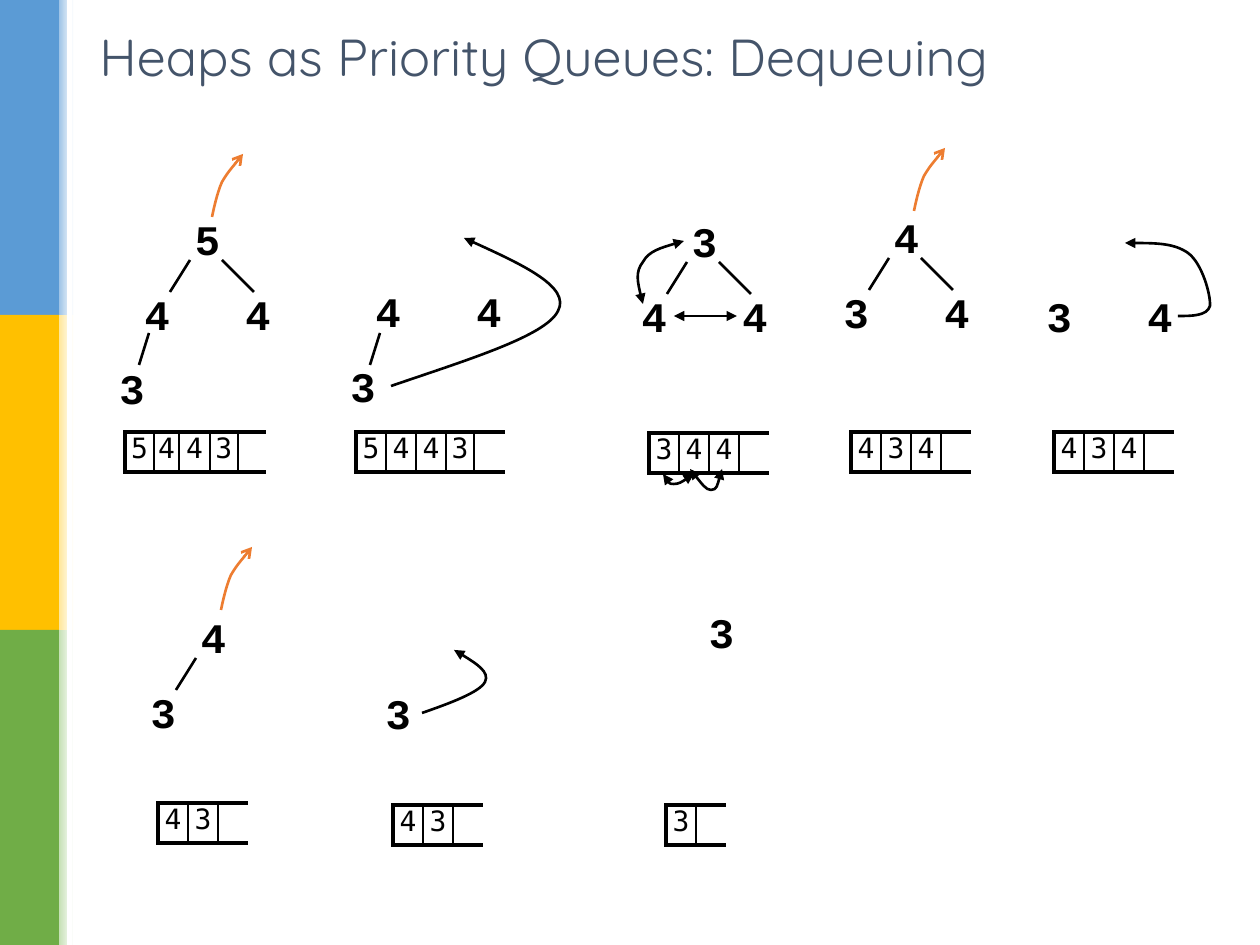
from dataclasses import dataclass

from lxml import etree
from pptx import Presentation
from pptx.dml.color import RGBColor
from pptx.enum.shapes import MSO_CONNECTOR, MSO_SHAPE
from pptx.enum.text import MSO_ANCHOR, PP_ALIGN
from pptx.oxml.ns import qn
from pptx.util import Emu, Pt

SCALE = 914400 / 126
STRAIGHT = MSO_CONNECTOR.STRAIGHT
RECT = MSO_SHAPE.RECTANGLE
MIDDLE, TOP = MSO_ANCHOR.MIDDLE, MSO_ANCHOR.TOP
CENTER, LEFT = PP_ALIGN.CENTER, PP_ALIGN.LEFT


@dataclass(frozen=True)
class Theme:
    """Colours, fonts, type sizes and line widths of the deck."""
    ink: str = "000000"
    paper: str = "FFFFFF"
    heading: str = "44546A"
    exit: str = "ED7D31"
    bands: tuple = (("5B9BD5", "9DC3E6"), ("FFC000", "FFE699"), ("70AD47", "C5E0B4"))
    title_font: str = "Quicksand"
    node_font: str = "Courier New"
    cell_font: str = "DejaVu Sans Mono"
    title_size: float = 29.7
    node_size: int = 24
    cell_size: int = 16
    line: float = 1.5
    thick: float = 2.25
    thin: float = 1


THEME = Theme()
LEVEL_PITCH = 72
CHAR = 25.2
LEVEL_COLUMNS = ((3,), (1, 5), (0,))
EDGES = (
    ((0, 0), (1, 0), (83, 53), (63, 85)),
    ((0, 0), (1, 1), (115, 53), (147, 85)),
    ((1, 0), (2, 0), (42, 126), (32, 158)),
)
EXIT_CURVE = ((31, 0), (24, 9), (16, 18), (10, 28), (5, 39), (1, 58), (0, 63))


def px(value):
    """Turn pixels into EMU."""
    return Emu(round(value * SCALE))


def color(value):
    """Turn a hex string into a colour."""
    return RGBColor.from_string(value)


def write(para, text, *, font, size, ink=THEME.ink, bold=False, align=LEFT):
    """Add one formatted run to a paragraph."""
    para.alignment = align
    span = para.add_run()
    span.text = text
    span.font.name, span.font.size, span.font.bold = font, Pt(size), bold
    span.font.color.rgb = color(ink)


def add_box(page, left, top, width, height, anchor=TOP):
    """Add a wrapping text box and return its frame."""
    box = page.shapes.add_textbox(px(left), px(top), px(width), px(height))
    box.text_frame.word_wrap = True
    box.text_frame.vertical_anchor = anchor
    return box.text_frame


def style_line(shape, ink=THEME.ink, head=None, tail=None):
    """Set colour, width and arrowheads of a line."""
    shape.line.color.rgb = color(ink)
    shape.line.width = Pt(THEME.line)
    outline = shape.element.find(".//" + qn("a:ln"))
    for tag, kind in (("a:headEnd", head), ("a:tailEnd", tail)):
        if kind:
            etree.SubElement(outline, qn(tag), type=kind)


def add_line(page, start, end, **ends):
    """Draw a straight line between two points."""
    line = page.shapes.add_connector(STRAIGHT, *(px(v) for v in (*start, *end)))
    style_line(line, **ends)
    etree.SubElement(line.element.spPr, qn("a:effectLst"))


def add_curve(page, points, **ends):
    """Draw cubic curves through a start and triples of points."""
    builder = page.shapes.build_freeform(*points[0], scale=SCALE)
    builder.add_line_segments(points[1:], close=False)
    curve = builder.convert_to_shape()
    curve.shadow.inherit = False
    curve.fill.background()
    style_line(curve, **ends)
    outline = curve.element.find(".//" + qn("a:path"))
    segments = outline.findall(qn("a:lnTo"))
    for first in range(0, len(segments), 3):
        bezier = etree.SubElement(outline, qn("a:cubicBezTo"))
        for segment in segments[first:first + 3]:
            bezier.append(segment[0])
            outline.remove(segment)


def add_block(page, left, top, width, height, fill, fade=None):
    """Draw a plain or fading rectangle without outline."""
    block = page.shapes.add_shape(RECT, px(left), px(top), px(width), px(height))
    block.shadow.inherit = False
    block.line.fill.background()
    if fade:
        block.fill.gradient()
        block.fill.gradient_angle = 0
        for stop, shade in zip(block.fill.gradient_stops, (fill, fade)):
            stop.color.rgb = color(shade)
    else:
        block.fill.solid()
        block.fill.fore_color.rgb = color(fill)


def add_sidebar(page, left, top, height):
    """Draw the coloured bands at the slide edge."""
    band = height / len(THEME.bands)
    for index, (fill, tint) in enumerate(THEME.bands):
        add_block(page, left, top + index * band, 59, band, fill)
        add_block(page, left + 59, top + index * band, 15, band, tint, THEME.paper)
    add_block(page, left + 67, top, 5, height, THEME.paper)


def add_heap(page, left, top, levels):
    """Write the nodes level by level and join parents to children."""
    first = next(i for i, level in enumerate(levels) if level)
    shown = len(levels) - first
    frame = add_box(page, left, top + first * LEVEL_PITCH, 179, 63 + (shown - 1) * 75)
    for depth in range(first, len(levels)):
        para = frame.paragraphs[0] if depth == first else frame.add_paragraph()
        if depth > first:
            para.space_before = Pt(14)
        columns = [c for c in LEVEL_COLUMNS[depth] if c]
        text = "".join("\t" * bool(columns) + node for node in levels[depth])
        write(para, text, font=THEME.node_font, size=THEME.node_size, bold=True)
        if columns:
            stops = etree.SubElement(para._p.get_or_add_pPr(), qn("a:tabLst"))
            for column in columns:
                etree.SubElement(stops, qn("a:tab"), pos=str(px(column * CHAR)), algn="l")
    for parent, child, start, end in EDGES:
        if all(d < len(levels) and i < len(levels[d]) for d, i in (parent, child)):
            add_line(page, *((left + x, top + y) for x, y in (start, end)))


def set_borders(cell, **widths):
    """Set cell borders; a width of zero hides the side."""
    for side in "LRTB":
        border = etree.SubElement(cell._tc.get_or_add_tcPr(), qn("a:ln" + side))
        width = widths[side]
        if width:
            border.set("w", str(Pt(width)))
            fill = etree.SubElement(border, qn("a:solidFill"))
            etree.SubElement(fill, qn("a:srgbClr"), val=THEME.ink)
        else:
            etree.SubElement(border, qn("a:noFill"))


def add_array(page, left, top, values, widths=None):
    """Draw the heap's array as a table with an open last cell."""
    count = len(values) + 1
    widths = widths or [30] * count
    frame = page.shapes.add_table(1, count, px(left), px(top), px(sum(widths)), px(37))
    table = frame.table
    table.first_row = table.horz_banding = False
    table.rows[0].height = px(37)
    for index, width in enumerate(widths):
        table.columns[index].width = px(width)
        cell = table.cell(0, index)
        cell.margin_left = cell.margin_right = cell.margin_top = cell.margin_bottom = px(1)
        set_borders(cell, L=THEME.thin if index else THEME.thick,
                    R=THEME.thin if index < count - 1 else 0, T=THEME.thick, B=THEME.thick)
        cell.fill.background()
        write(cell.text_frame.paragraphs[0], values[index:index + 1],
              font=THEME.cell_font, size=THEME.cell_size, align=CENTER)


def add_step(page, left, top, levels, values, array, widths=None, exit_at=None, moves=(), swaps=()):
    """Draw one dequeuing step: heap, array and arrows."""
    add_heap(page, left, top, levels)
    add_array(page, left + array[0], top + array[1], values, widths)
    if exit_at:
        points = [(left + exit_at[0] + x, top + exit_at[1] + y) for x, y in EXIT_CURVE]
        add_curve(page, points, ink=THEME.exit, head="arrow")
    for head, paths in ((None, moves), ("triangle", swaps)):
        for path in paths:
            points = [(left + x, top + y) for x, y in path]
            draw = add_curve if len(points) > 2 else lambda p, pts, **k: add_line(p, *pts, **k)
            draw(page, points, head=head, tail="triangle")


STEPS = (
    dict(left=107, top=207, levels=("5", "44", "3"), values="5443", array=(18, 225),
         widths=(29, 25, 31, 28, 28), exit_at=(105, -53)),
    dict(left=338, top=207, levels=("", "44", "3"), values="5443", array=(18, 225),
         widths=(30, 30, 30, 28, 31),
         moves=(((53, 179), (129, 153), (208, 129), (220, 104), (233, 80), (179, 55), (126, 31)),)),
    dict(left=604, top=209, levels=("3", "44"), values="344", array=(45, 224),
         swaps=(((80, 32), (63, 37), (45, 42), (39, 53), (31, 63), (35, 80), (39, 95)),
                ((59, 265), (61, 270), (65, 275), (70, 275), (75, 275), (83, 270), (90, 265)),
                ((70, 107), (133, 107)),
                ((86, 260), (94, 270), (102, 281), (107, 281), (113, 281), (115, 270), (118, 260)))),
    dict(left=806, top=205, levels=("4", "34"), values="434", array=(45, 227), exit_at=(108, -57)),
    dict(left=1009, top=212, levels=("", "34"), values="434", array=(45, 220),
         moves=(((169, 104), (183, 104), (198, 104), (201, 94), (202, 83), (193, 51), (179, 41),
                 (165, 31), (140, 31), (116, 31)),)),
    dict(left=113, top=605, levels=("4", "3"), values="43", array=(45, 198), exit_at=(108, -58)),
    dict(left=348, top=609, levels=("", "3"), values="43", array=(45, 196),
         moves=(((74, 104), (103, 94), (132, 83), (137, 73), (142, 63), (123, 51), (106, 41)),)),
    dict(left=621, top=600, levels=("3",), values="3", array=(45, 205)),
)


def build():
    """Build and save the deck."""
    deck = Presentation()
    deck.slide_width, deck.slide_height = px(1260), px(945)
    page = deck.slides.add_slide(deck.slide_layouts[6])
    add_sidebar(page, 0, 0, 945)
    title = add_box(page, 87, 20, 1022, 71, MIDDLE)
    write(title.paragraphs[0], "Heaps as Priority Queues: Dequeuing",
          font=THEME.title_font, size=THEME.title_size, ink=THEME.heading)
    for step in STEPS:
        add_step(page, **step)
    deck.save("out.pptx")


build()
